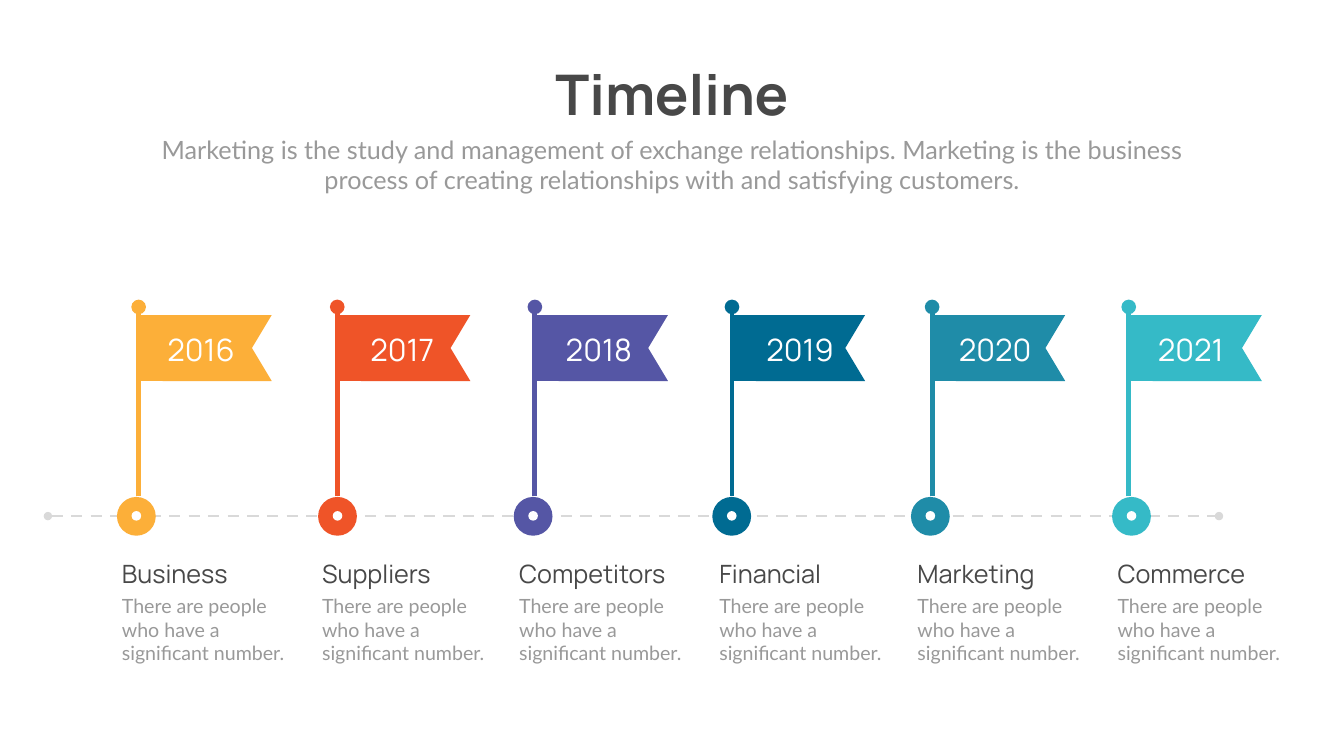
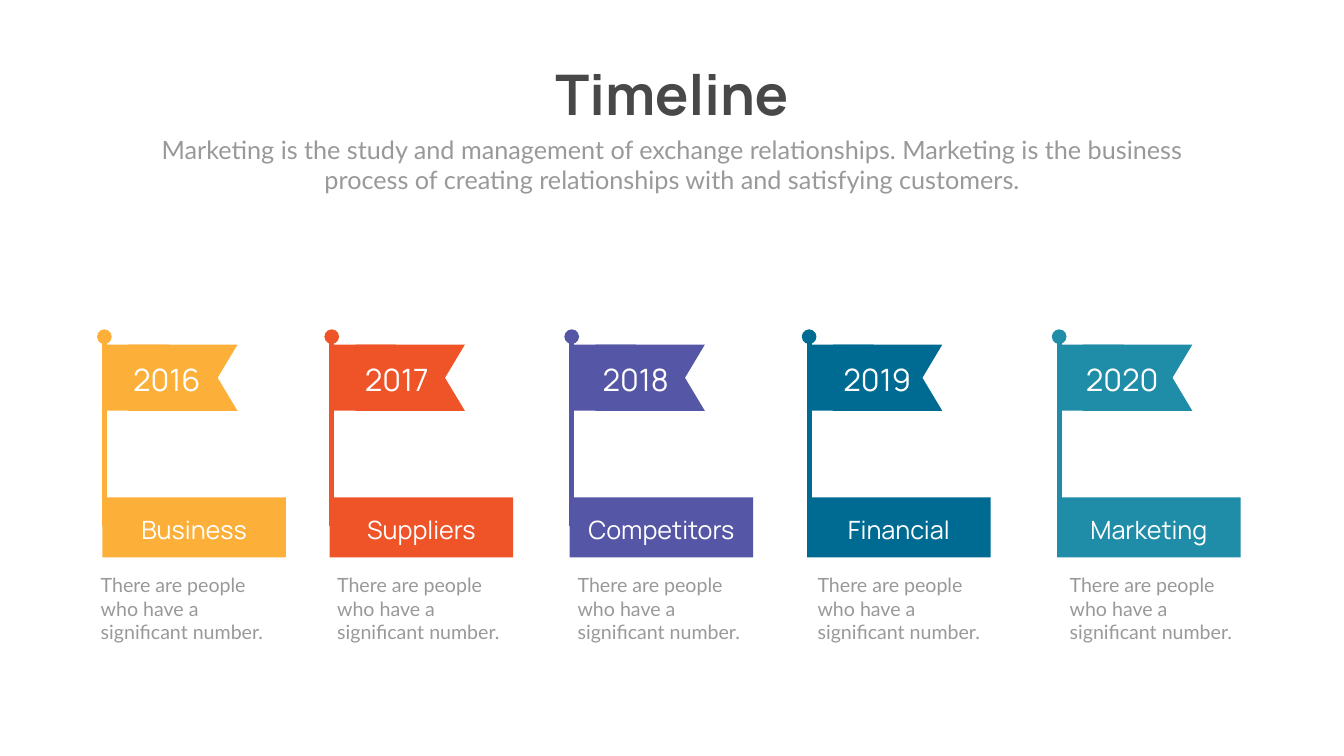
from lxml import etree
from pptx import Presentation
from pptx.dml.color import RGBColor
from pptx.enum.dml import MSO_LINE
from pptx.enum.shapes import MSO_CONNECTOR, MSO_SHAPE
from pptx.enum.text import MSO_ANCHOR, MSO_AUTO_SIZE, PP_ALIGN
from pptx.oxml.ns import qn
from pptx.util import Pt

RECT, OVAL, CHEVRON = MSO_SHAPE.RECTANGLE, MSO_SHAPE.OVAL, MSO_SHAPE.CHEVRON
STRAIGHT, DASH = MSO_CONNECTOR.STRAIGHT, MSO_LINE.DASH
TOP, MIDDLE = MSO_ANCHOR.TOP, MSO_ANCHOR.MIDDLE
GROW, FIXED = MSO_AUTO_SIZE.SHAPE_TO_FIT_TEXT, MSO_AUTO_SIZE.NONE
LEFT, CENTER = PP_ALIGN.LEFT, PP_ALIGN.CENTER

PX = 9144  # EMU; 100 px to the inch
HEAD_FONT, BODY_FONT = "Manrope", "Lato"
DARK, GREY, PALE, WHITE = "484848", "999999", "D9D9D9", "FFFFFF"

SUBTITLE = ("Marketing is the study and management of exchange relationships. "
            "Marketing is the business process of creating relationships with "
            "and satisfying customers.")
NOTE = "There are people who have a significant number."

# year, topic, colour, shift of the year from the pole
STEPS = [
    ("2016", "Business", "FCAF39", 17),
    ("2017", "Suppliers", "EF5428", 22),
    ("2018", "Competitors", "5556A5", 20),
    ("2019", "Financial", "006B92", 28),
    ("2020", "Marketing", "1F8CA8", 18),
    ("2021", "Commerce", "35BAC7", 16),
]
# left edges on each slide: pole, dot, caption / pole, note
AXIS_COLUMNS = [(275, 232, 232), (669, 631, 629), (1061, 1019, 1020),
                (1452, 1413, 1417), (1849, 1807, 1810), (2239, 2206, 2207)]
BAR_COLUMNS = [(207, 190), (658, 659), (1134, 1136), (1605, 1612), (2101, 2112)]

COLUMN_W = 364
POLE_H = 376


def px(*values):
    return [v * PX for v in values]


def rgb(color):
    return RGBColor.from_string(color)


def write(sp, text, font, size, color, align=LEFT, bold=False, anchor=TOP, fit=GROW):
    tf = sp.text_frame
    tf.word_wrap = True
    tf.auto_size = fit
    tf.vertical_anchor = anchor
    p = tf.paragraphs[0]
    p.text = text
    p.alignment = align
    p.font.name = font
    p.font.size = Pt(size)
    p.font.bold = bold
    p.font.color.rgb = rgb(color)


def add_text(slide, box, text, *style, **options):
    write(slide.shapes.add_textbox(*px(*box)), text, *style, **options)


def add_shape(slide, kind, box, color):
    sp = slide.shapes.add_shape(kind, *px(*box))
    sp.shadow.inherit = False
    sp.fill.solid()
    sp.fill.fore_color.rgb = rgb(color)
    sp.line.fill.background()
    return sp


def add_line(slide, ends, color, width, ovals, dash=None):
    line = slide.shapes.add_connector(STRAIGHT, *px(*ends))
    line.line.color.rgb = rgb(color)
    line.line.width = Pt(width)
    if dash:
        line.line.dash_style = dash
    ln = line.line._get_or_add_ln()
    for end in ovals:
        etree.SubElement(ln, qn(f"a:{end}")).set("type", "oval")
    etree.SubElement(line._element.spPr, qn("a:effectLst"))


def add_header(prs):
    slide = prs.slides.add_slide(prs.slide_layouts[5])
    slide.background.fill.solid()
    slide.background.fill.fore_color.rgb = rgb(WHITE)
    title = slide.shapes.title
    title.left, title.top, title.width, title.height = px(1074, 112, 518, 145)
    write(title, "Timeline", HEAD_FONT, 80, DARK, CENTER, True, MIDDLE, FIXED)
    add_text(slide, (292, 261, 2082, 131), SUBTITLE, BODY_FONT, 36, GREY, CENTER)
    return slide


def add_flag(slide, x, y, year, color, shift):
    """Pole with its top at (x, y), and the flag with its year."""
    add_line(slide, (x, y + POLE_H, x, y), color, 7, ["tailEnd"])
    tail = add_shape(slide, CHEVRON, (x + 8, y + 16, 256, 131), color)
    tail.adjustments[0] = 0.3
    tail.rotation = 180
    add_shape(slide, RECT, (x, y + 16, 128, 131), color)
    add_text(slide, (x + shift, y + 42, 214, 84), year, HEAD_FONT, 44, WHITE, CENTER)


def add_note(slide, x, y):
    add_text(slide, (x, y, COLUMN_W, 151), NOTE, BODY_FONT, 28, GREY)


def add_dot(slide, x, y, color):
    add_shape(slide, OVAL, (x, y, 77, 77), color)
    add_shape(slide, OVAL, (x + 29, y + 28, 19, 19), WHITE)


def add_bar(slide, x, y, topic, color):
    bar = add_shape(slide, RECT, (x, y, COLUMN_W, 119), color)
    write(bar, topic, HEAD_FONT, 36, WHITE, CENTER, anchor=MIDDLE, fit=FIXED)
    bar.text_frame.margin_top, bar.text_frame.margin_bottom = px(6, 0)


def axis_slide(prs):
    slide = add_header(prs)
    add_line(slide, (95, 1024, 2418, 1024), PALE, 4, ["headEnd", "tailEnd"], DASH)
    for (year, topic, color, shift), (pole, dot, caption) in zip(STEPS, AXIS_COLUMNS):
        add_dot(slide, dot, 986, color)
        add_flag(slide, pole, 609, year, color, shift)
        add_text(slide, (caption, 1103, COLUMN_W, 71), topic, HEAD_FONT, 36, DARK)
        add_note(slide, caption, 1174)


def bar_slide(prs):
    slide = add_header(prs)
    for (year, topic, color, shift), (pole, note) in zip(STEPS, BAR_COLUMNS):
        add_flag(slide, pole, 668, year, color, shift)
        add_bar(slide, pole - 4, 987, topic, color)
        add_note(slide, note, 1132)


def main():
    prs = Presentation()
    prs.slide_width, prs.slide_height = px(2666, 1500)
    axis_slide(prs)
    bar_slide(prs)
    prs.save("out.pptx")


if __name__ == "__main__":
    main()
